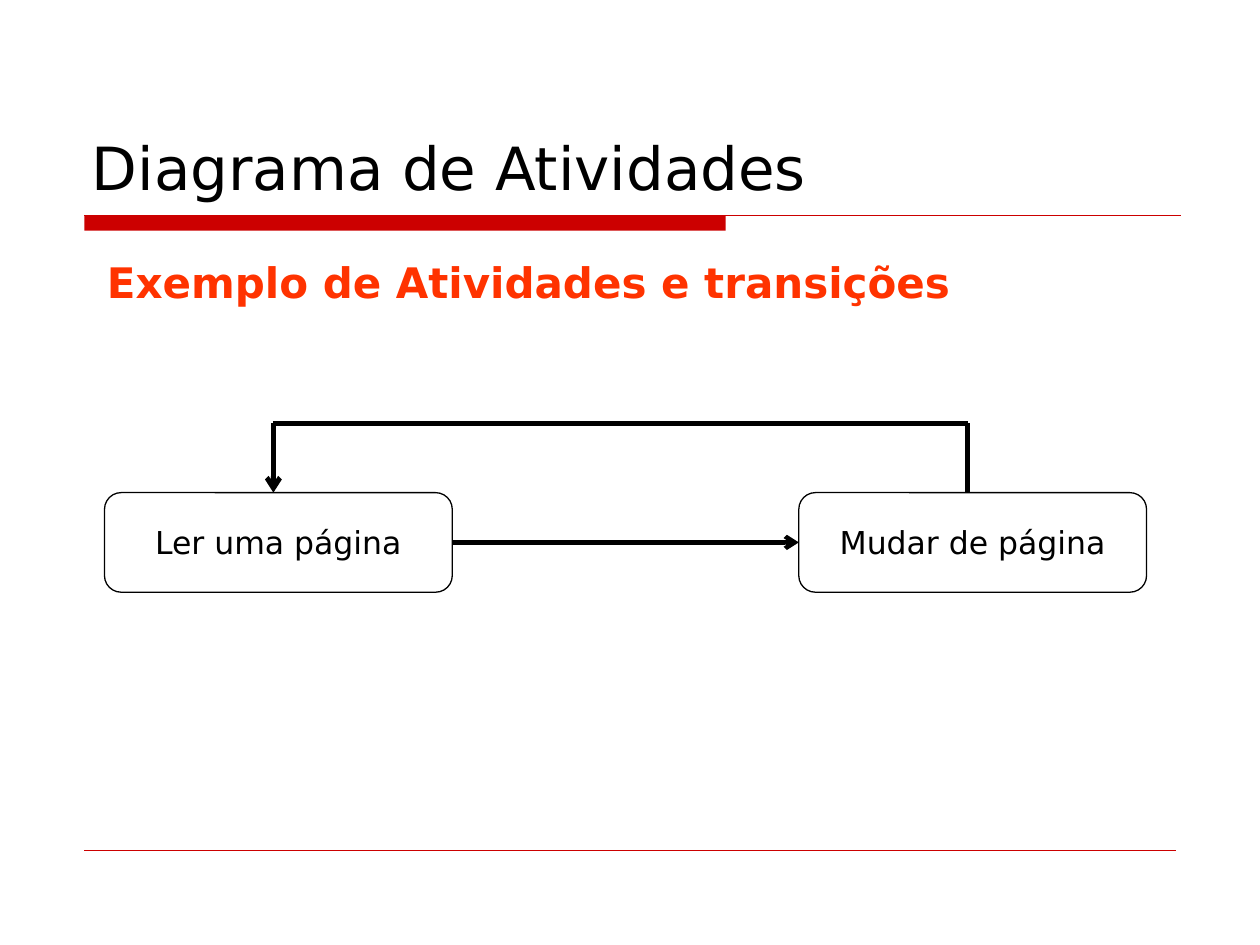
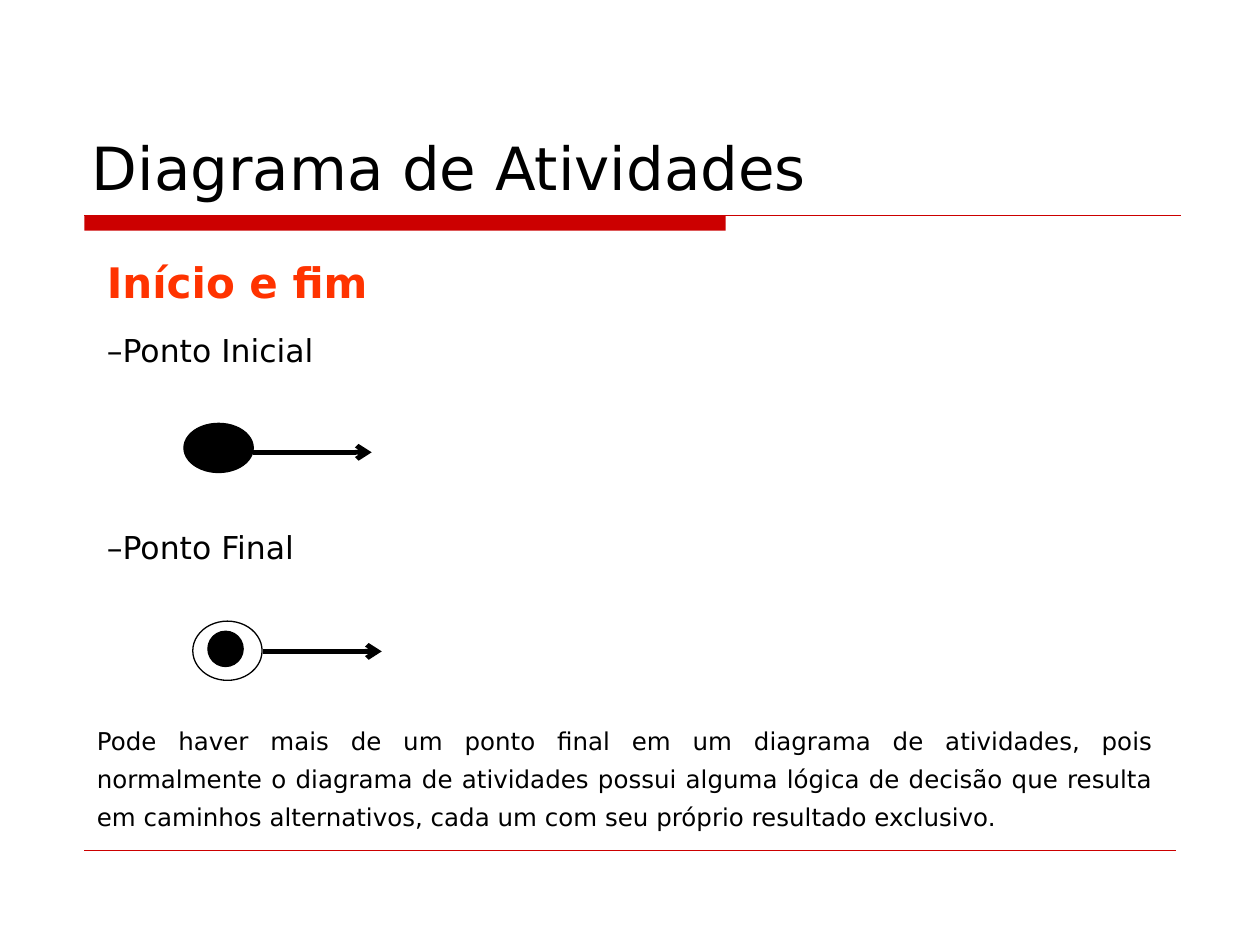
from dataclasses import dataclass

from lxml import etree
from pptx import Presentation
from pptx.dml.color import RGBColor
from pptx.enum.shapes import MSO_CONNECTOR, MSO_SHAPE
from pptx.enum.text import MSO_ANCHOR, MSO_AUTO_SIZE, PP_ALIGN
from pptx.oxml.ns import qn
from pptx.util import Inches, Pt

STRAIGHT = MSO_CONNECTOR.STRAIGHT
RECTANGLE, ROUNDED, OVAL = MSO_SHAPE.RECTANGLE, MSO_SHAPE.ROUNDED_RECTANGLE, MSO_SHAPE.OVAL
MIDDLE, BOTTOM = MSO_ANCHOR.MIDDLE, MSO_ANCHOR.BOTTOM
LEFT, CENTER, JUSTIFY = PP_ALIGN.LEFT, PP_ALIGN.CENTER, PP_ALIGN.JUSTIFY
GROW = MSO_AUTO_SIZE.SHAPE_TO_FIT_TEXT

BLACK = RGBColor(0x00, 0x00, 0x00)
WHITE = RGBColor(0xFF, 0xFF, 0xFF)
RED = RGBColor(0xCC, 0x00, 0x00)
ORANGE = RGBColor(0xFF, 0x33, 0x00)
FONT = "DejaVu Sans"

# Grid of 100 columns by 75 rows
WIDTH, HEIGHT = Inches(10), Inches(7.5)
COLUMN, ROW = WIDTH / 100, HEIGHT / 75
THIN, FLOW = 0.75, 2.75

TITLE = "Diagrama de Atividades"
HEADING = {"size": 24, "bold": True, "color": ORANGE}
HEADING_PARA = {"alignment": JUSTIFY, "line_spacing": 1.2, "space_after": Pt(6)}
ITEM = {"size": 18}
ITEM_PARA = {"alignment": JUSTIFY, "line_spacing": 1.3, "space_before": Pt(6.8)}
NOTE = {"size": 14}
NOTE_PARA = {"alignment": JUSTIFY, "line_spacing": 1.3, "space_before": Pt(5.2)}


@dataclass
class Box:
    """An area of the grid, in columns and rows."""
    left: float
    top: float
    width: float
    height: float

    def inner(self, left, top, width, height):
        return Box(self.left + left, self.top + top, width, height)

    def point(self, column, row):
        return self.left + column, self.top + row

    def lengths(self):
        return (round(self.left * COLUMN), round(self.top * ROW),
                round(self.width * COLUMN), round(self.height * ROW))


TITLE_BOX = Box(6.3, 3.3, 87.5, 13.3)
BAND_BOX = Box(6.7, 17.1, 87, 1.2)
FOOTER_BOX = Box(6.7, 67.5, 86.6, 0)
HEADING_BOX = Box(7.5, 19.1, 85, 5.8)
CYCLE_BOX = Box(8.3, 33.6, 82.7, 13.4)
START_BOX = Box(7.5, 24.9, 85.8, 12.6)
END_BOX = Box(7.5, 40.5, 85.8, 13.5)
NOTE_BOX = Box(6.7, 56.4, 85.8, 10.1)


def apply(target, values):
    for name, value in values.items():
        setattr(target, name, value)


def write(frame, text, size, para_format, color=BLACK, bold=False):
    frame.text = text
    para = frame.paragraphs[0]
    apply(para, para_format)
    font = para.runs[0].font
    apply(font, {"name": FONT, "size": Pt(size), "bold": bold})
    font.color.rgb = color


def add_text(page, box, text, style, para_format):
    frame = page.shapes.add_textbox(*box.lengths()).text_frame
    apply(frame, {"word_wrap": True, "auto_size": GROW})
    write(frame, text, para_format=para_format, **style)


def add_figure(page, kind, box, fill, line=BLACK):
    figure = page.shapes.add_shape(kind, *box.lengths())
    figure.shadow.inherit = False
    figure.fill.solid()
    figure.fill.fore_color.rgb = fill
    if line is None:
        figure.line.fill.background()
    else:
        figure.line.color.rgb = line
        figure.line.width = Pt(THIN)
    return figure


def add_line(page, start, end, color=BLACK, width=FLOW, arrow=False):
    ends = [round(value * unit) for point in (start, end)
            for value, unit in zip(point, (COLUMN, ROW))]
    link = page.shapes.add_connector(STRAIGHT, *ends)
    link.line.color.rgb = color
    link.line.width = Pt(width)
    if arrow:
        etree.SubElement(link.line._get_or_add_ln(), qn("a:tailEnd"), type="arrow")
    etree.SubElement(link._element.spPr, qn("a:effectLst"))


def add_page(deck, heading):
    """Add a page with the shared title, band, footer line and heading."""
    page = deck.slides.add_slide(deck.slide_layouts.get_by_name("Title Only"))

    # Title
    title = page.shapes.title
    apply(title, dict(zip(("left", "top", "width", "height"), TITLE_BOX.lengths())))
    apply(title.text_frame, {"vertical_anchor": BOTTOM, "word_wrap": True})
    write(title.text_frame, TITLE, 34, {"alignment": LEFT})

    # Band and footer line
    band = BAND_BOX
    add_figure(page, RECTANGLE, band.inner(0, 0, 50.9, band.height), RED, None)
    for box, width in ((band, THIN), (FOOTER_BOX, 0.25)):
        add_line(page, box.point(0, 0), box.point(box.width, 0), RED, width)

    add_text(page, HEADING_BOX, heading, HEADING, HEADING_PARA)
    return page


def add_cycle(page, box, activities):
    """Place two activities, an arrow between them and a return path above."""
    width, height = 27.6, 7.9
    top, right = box.height - height, box.width - width
    for left, activity in zip((0, right), activities):
        figure = add_figure(page, ROUNDED, box.inner(left, top, width, height), WHITE)
        frame = figure.text_frame
        apply(frame, {"word_wrap": False, "vertical_anchor": MIDDLE})
        write(frame, activity, 18, {"alignment": CENTER})

    # Forward transition
    middle = top + height / 2
    add_line(page, box.point(width, middle), box.point(right, middle), width=2.5, arrow=True)

    # Return transition
    inset = 13.4
    corners = [box.point(*corner) for corner in
               ((right + inset, top), (right + inset, 0), (inset, 0), (inset, top))]
    for start, end in zip(corners, corners[1:]):
        add_line(page, start, end, arrow=end == corners[-1])


def add_node(page, box, label, ovals, arrow_start):
    """Place a label with its node, made of ovals, and an arrow below it."""
    add_text(page, box.inner(0, 0, box.width, 4.9), label, ITEM, ITEM_PARA)
    for oval, fill in ovals:
        add_figure(page, OVAL, box.inner(*oval), fill)
    column, row = arrow_start
    add_line(page, box.point(column, row), box.point(column + 9.4, row), arrow=True)


def main():
    deck = Presentation()
    deck.slide_width, deck.slide_height = WIDTH, HEIGHT

    # Activities and transitions
    page = add_page(deck, "Exemplo de Atividades e transições")
    add_cycle(page, CYCLE_BOX, ("Ler uma página", "Mudar de página"))

    # Start and end
    page = add_page(deck, "Início e fim")
    add_node(page, START_BOX, "–Ponto Inicial",
             [((7.1, 8.7, 5.5, 3.9), BLACK)], (12.6, 11))
    add_node(page, END_BOX, "–Ponto Final",
             [((7.8, 8.8, 5.5, 4.7), WHITE), ((9, 9.6, 2.8, 2.8), BLACK)], (13.4, 11.2))
    add_text(page, NOTE_BOX,
             "Pode haver mais de um ponto final em um diagrama de atividades, pois "
             "normalmente o diagrama de atividades possui alguma lógica de decisão que "
             "resulta em caminhos alternativos, cada um com seu próprio resultado exclusivo.",
             NOTE, NOTE_PARA)

    deck.save("out.pptx")


if __name__ == "__main__":
    main()
